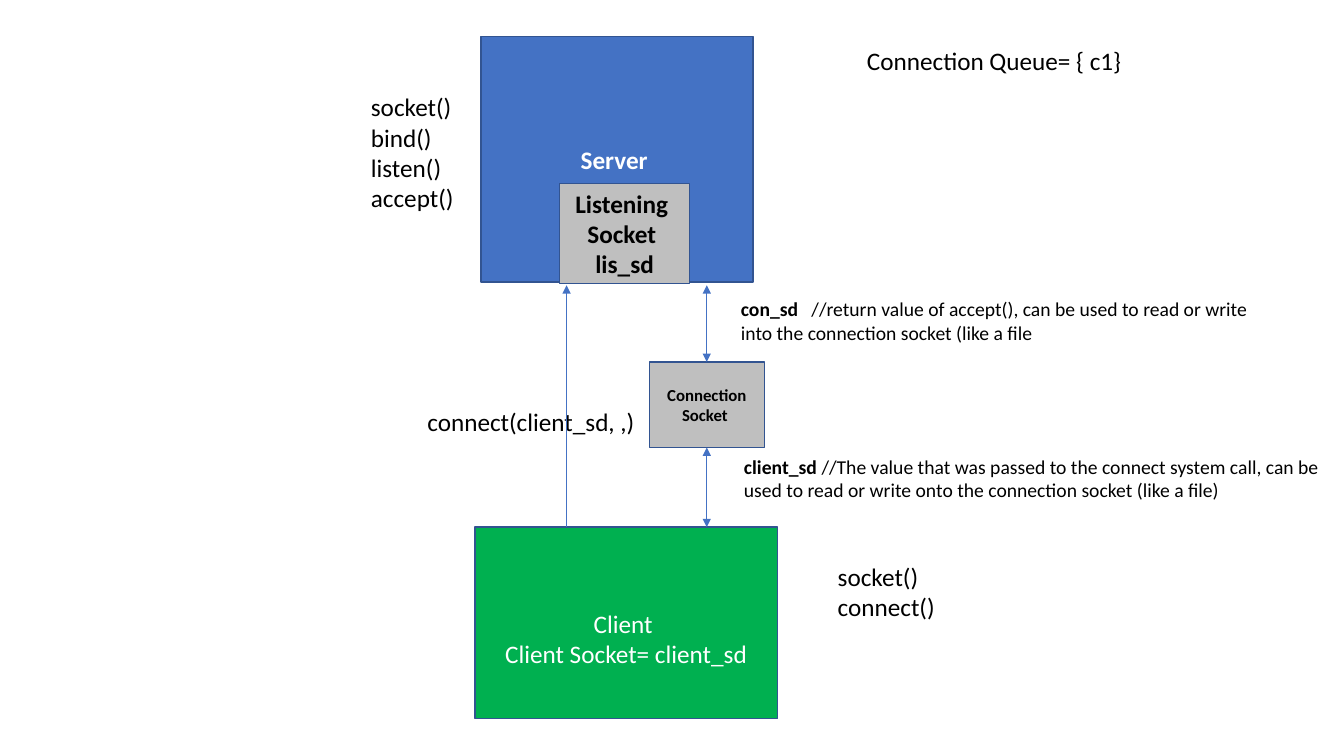
from lxml import etree
from pptx import Presentation
from pptx.dml.color import RGBColor
from pptx.enum.shapes import MSO_CONNECTOR, MSO_SHAPE
from pptx.enum.text import MSO_ANCHOR, PP_ALIGN
from pptx.oxml.ns import qn
from pptx.util import Emu, Pt

RECT = MSO_SHAPE.RECTANGLE
STRAIGHT = MSO_CONNECTOR.STRAIGHT
MIDDLE = MSO_ANCHOR.MIDDLE
TOP = MSO_ANCHOR.TOP
CENTER = PP_ALIGN.CENTER
LEFT = PP_ALIGN.LEFT

FONT = "Calibri"
BLUE = "4472C4"
OUTLINE = "325491"
GREEN = "00B050"
GRAY = "BFBFBF"
BLACK = "000000"
WHITE = "FFFFFF"


def px(n):
    return Emu(n * 9144)


def rgb(color):
    return RGBColor.from_string(color)


def write(tf, lines, size, color, align):
    for i, runs in enumerate(lines):
        p = tf.paragraphs[0] if i == 0 else tf.add_paragraph()
        p.alignment = align
        for text, bold in runs:
            r = p.add_run()
            r.text = text
            r.font.name = FONT
            r.font.size = Pt(size)
            r.font.bold = bold
            r.font.color.rgb = rgb(color)


def plain(*lines, bold=False):
    return [[(line, bold)] for line in lines]


def add_box(slide, x, y, w, h, fill, lines, size=18, color=BLACK, inset=5):
    sp = slide.shapes.add_shape(RECT, px(x), px(y), px(w), px(h))
    sp.shadow.inherit = False
    sp.fill.solid()
    sp.fill.fore_color.rgb = rgb(fill)
    sp.line.color.rgb = rgb(OUTLINE)
    sp.line.width = Pt(1)
    tf = sp.text_frame
    tf.word_wrap = True
    tf.vertical_anchor = MIDDLE
    tf.margin_top = px(inset)
    write(tf, lines, size, color, CENTER)


def add_label(slide, x, y, w, h, lines, size=18):
    sp = slide.shapes.add_textbox(px(x), px(y), px(w), px(h))
    tf = sp.text_frame
    tf.word_wrap = True
    tf.vertical_anchor = TOP
    write(tf, lines, size, BLACK, LEFT)
    return tf


def add_arrow(slide, x, start, end, ends):
    cxn = slide.shapes.add_connector(STRAIGHT, px(x), px(start), px(x), px(end))
    cxn.line.color.rgb = rgb(BLUE)
    cxn.line.width = Pt(0.5)
    ln = cxn.line._get_or_add_ln()
    for tag in ends:
        etree.SubElement(ln, qn(tag), type="triangle")
    etree.SubElement(cxn._element.spPr, qn("a:effectLst"))


def set_tab(p, pos):
    tabs = etree.SubElement(p._p.get_or_add_pPr(), qn("a:tabLst"))
    etree.SubElement(tabs, qn("a:tab"), pos=str(px(pos)), algn="l")


def add_server(slide, x, y, w, h):
    add_box(slide, x, y, w, h, BLUE, plain("Server ", bold=True), color=WHITE)
    add_box(slide, x + 78, y + h - 98, 129, 99, GRAY,
            plain("Listening ", "Socket ", "lis_sd", bold=True))
    add_label(slide, x - 119, y + 50, 132, 131,
              plain("socket()", "bind()", "listen()", "accept()"))
    add_label(slide, x + w + 103, y + 4, 429, 40,
              plain("Connection Queue= { c1}"))


def add_client(slide, x, y, w, h):
    add_box(slide, x, y, w, h, GREEN,
            plain("Client ", "Client Socket= client_sd"), color=WHITE, inset=36)
    add_label(slide, x + w + 50, y + 29, 132, 71, plain("socket()", "connect()"))


def add_connection(slide, x, y, w, h):
    bottom = y + h
    add_label(slide, x, y + 115, 252, 40, plain("connect(client_sd, ,)"))
    add_arrow(slide, x + 148, bottom, y, ["a:tailEnd"])
    socket_x, socket_y, socket_w, socket_h = x + 230, y + 76, 114, 85
    add_box(slide, socket_x, socket_y, socket_w, socket_h, GRAY,
            plain("Connection", "Socket ", bold=True), size=12)
    middle = socket_x + socket_w // 2
    for start, end in ((socket_y + socket_h, bottom), (y, socket_y)):
        add_arrow(slide, middle, start, end, ["a:headEnd", "a:tailEnd"])
    tf = add_label(slide, x + 311, y + 7, 554, 57, [
        [("con_sd\t", True),
         ("//return value of accept(), can be used to read or write "
          "into the connection socket (like a file", False)]], size=14)
    set_tab(tf.paragraphs[0], 70)
    add_label(slide, x + 314, y + 163, w - 314, 57, [
        [("client_sd ", True),
         ("//The value that was passed to the connect system call, can be", False)],
        [("used to read or write onto the connection socket (like a file)", False)],
    ], size=14)


def main():
    prs = Presentation()
    prs.slide_width, prs.slide_height = px(1333), px(750)
    slide = prs.slides.add_slide(prs.slide_layouts[6])
    add_server(slide, 477, 36, 270, 244)
    add_client(slide, 471, 523, 300, 190)
    add_connection(slide, 414, 283, 915, 240)
    prs.save("out.pptx")


if __name__ == "__main__":
    main()
